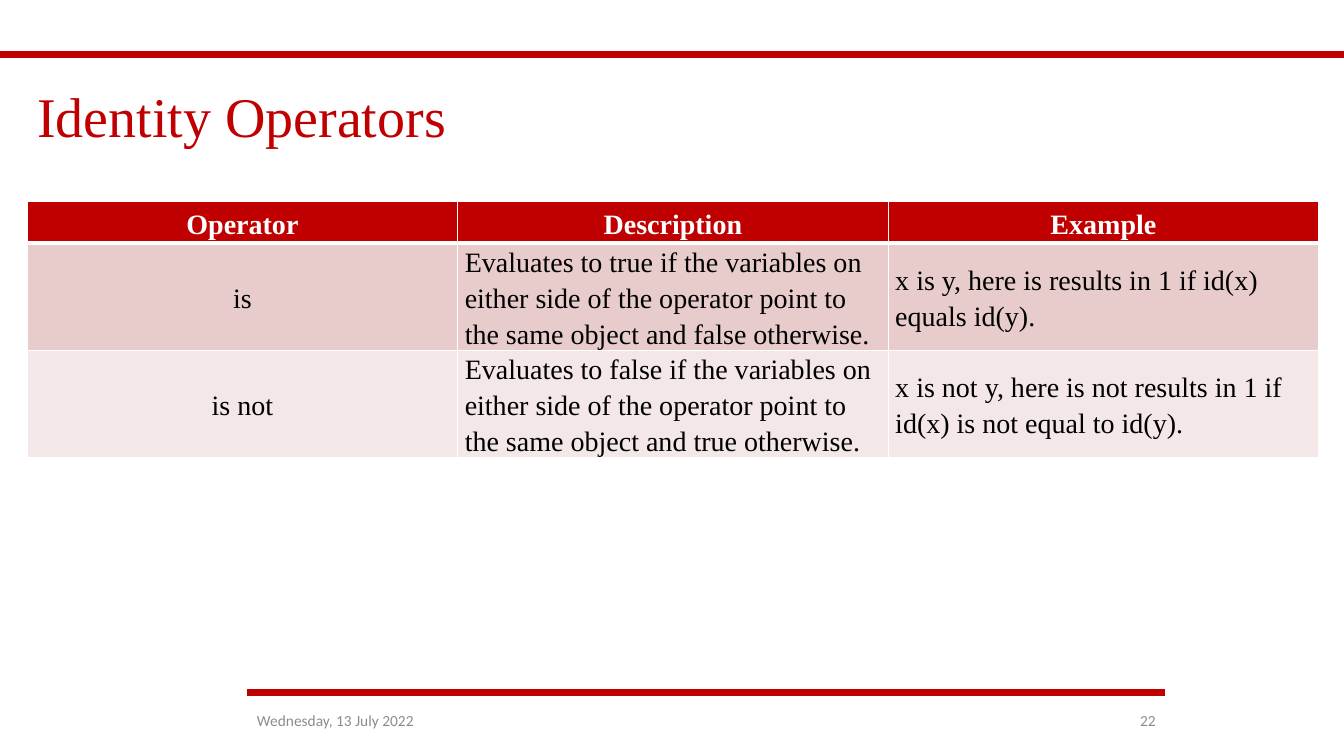
from lxml import etree
from pptx import Presentation
from pptx import util as u
from pptx.dml.color import RGBColor
from pptx.enum import shapes, text
from pptx.oxml.ns import qn

COLORS = {
    "red": "C00000",
    "white": "FFFFFF",
    "black": "000000",
    "band_dark": "E8CCCC",
    "band_light": "F4E7E7",
    "grey": "8C8C8C",
}
ROWS = [
    ("Operator", "Description", "Example"),
    (
        "is",
        "Evaluates to true if the variables on either side of the operator "
        "point to the same object and false otherwise.",
        "x is y, here is results in 1 if id(x) equals id(y).",
    ),
    (
        "is not",
        "Evaluates to false if the variables on either side of the operator "
        "point to the same object and true otherwise.",
        "x is not y, here is not results in 1 if id(x) is not equal to id(y).",
    ),
]
ROW_FILLS = ["red", "band_dark", "band_light"]
ROW_HEIGHTS = [0.41, 1.06, 1.06]
LEFT, WIDTH = 0.27, 12.81


def rgb(name):
    """Return the named colour."""
    return RGBColor.from_string(COLORS[name])


def format_para(para, font, size, color, align=text.PP_ALIGN.LEFT, bold=False):
    """Set the font and alignment of a paragraph."""
    para.alignment = align
    para.font.name = font
    para.font.size = u.Pt(size)
    para.font.bold = bold
    para.font.color.rgb = rgb(color)


def add_rule(page, left, right, top):
    """Draw a thick red horizontal line."""
    rule = page.shapes.add_connector(
        shapes.MSO_CONNECTOR.STRAIGHT,
        u.Inches(left), u.Inches(top), u.Inches(right), u.Inches(top))
    rule.line.color.rgb = rgb("red")
    rule.line.width = u.Pt(4.5)
    etree.SubElement(rule.element.spPr, qn("a:effectLst"))


def set_title(page, wording):
    """Place and format the title placeholder."""
    title = page.shapes.title
    title.left, title.top = u.Inches(LEFT), u.Inches(0.54)
    title.width, title.height = u.Inches(WIDTH), u.Inches(1.28)
    frame = title.text_frame
    frame.text = wording
    frame.vertical_anchor = text.MSO_ANCHOR.MIDDLE
    para = frame.paragraphs[0]
    para.line_spacing = 0.9
    format_para(para, "Times New Roman", 40, "red")


def set_borders(cell, bottom_width, top_width):
    """Give a cell white borders."""
    props = cell._tc.get_or_add_tcPr()
    widths = {"lnL": 1, "lnR": 1, "lnT": top_width, "lnB": bottom_width}
    for side, width in widths.items():
        line = etree.SubElement(props, qn(f"a:{side}"), w=str(u.Pt(width)))
        fill = etree.SubElement(line, qn("a:solidFill"))
        etree.SubElement(fill, qn("a:srgbClr"), val=COLORS["white"])


def fill_cell(cell, wording, row, column):
    """Write and format one table cell."""
    header = row == 0
    set_borders(cell, 3 if header else 1, 3 if row == 1 else 1)
    cell.fill.solid()
    cell.fill.fore_color.rgb = rgb(ROW_FILLS[row])
    cell.vertical_anchor = text.MSO_ANCHOR.MIDDLE
    cell.margin_left = cell.margin_right = u.Inches(0.07)
    cell.margin_top = cell.margin_bottom = 0
    cell.text = wording
    para = cell.text_frame.paragraphs[0]
    para.line_spacing = 1.15
    centred = header or column == 0
    format_para(para, "Times New Roman", 20, "white" if header else "black",
                text.PP_ALIGN.CENTER if centred else text.PP_ALIGN.LEFT, header)


def add_operator_table(page):
    """Add the table of identity operators."""
    table = page.shapes.add_table(
        len(ROWS), len(ROWS[0]), u.Inches(LEFT), u.Inches(2),
        u.Inches(WIDTH), u.Inches(sum(ROW_HEIGHTS))).table
    for row, wordings in enumerate(ROWS):
        table.rows[row].height = u.Inches(ROW_HEIGHTS[row])
        for column, wording in enumerate(wordings):
            fill_cell(table.cell(row, column), wording, row, column)


def add_footer(page, wording, left, width, align):
    """Add a small grey footer text."""
    box = page.shapes.add_textbox(
        u.Inches(left), u.Inches(6.95), u.Inches(width), u.Inches(0.4))
    frame = box.text_frame
    frame.word_wrap = True
    frame.vertical_anchor = text.MSO_ANCHOR.MIDDLE
    frame.text = wording
    format_para(frame.paragraphs[0], "Calibri", 11, "grey", align)


def main():
    """Build and save the slide."""
    deck = Presentation()
    deck.slide_width, deck.slide_height = u.Inches(13.33), u.Inches(7.5)
    page = deck.slides.add_slide(deck.slide_layouts.get_by_name("Title Only"))
    add_rule(page, 0, 13.33, 0.54)
    add_rule(page, 2.45, 11.55, 6.87)
    set_title(page, "Identity Operators")
    add_operator_table(page)
    add_footer(page, "Wednesday, 13 July 2022", 2.45, 2.25, text.PP_ALIGN.LEFT)
    add_footer(page, "22", 10.77, 0.79, text.PP_ALIGN.RIGHT)
    deck.save("out.pptx")


if __name__ == "__main__":
    main()
